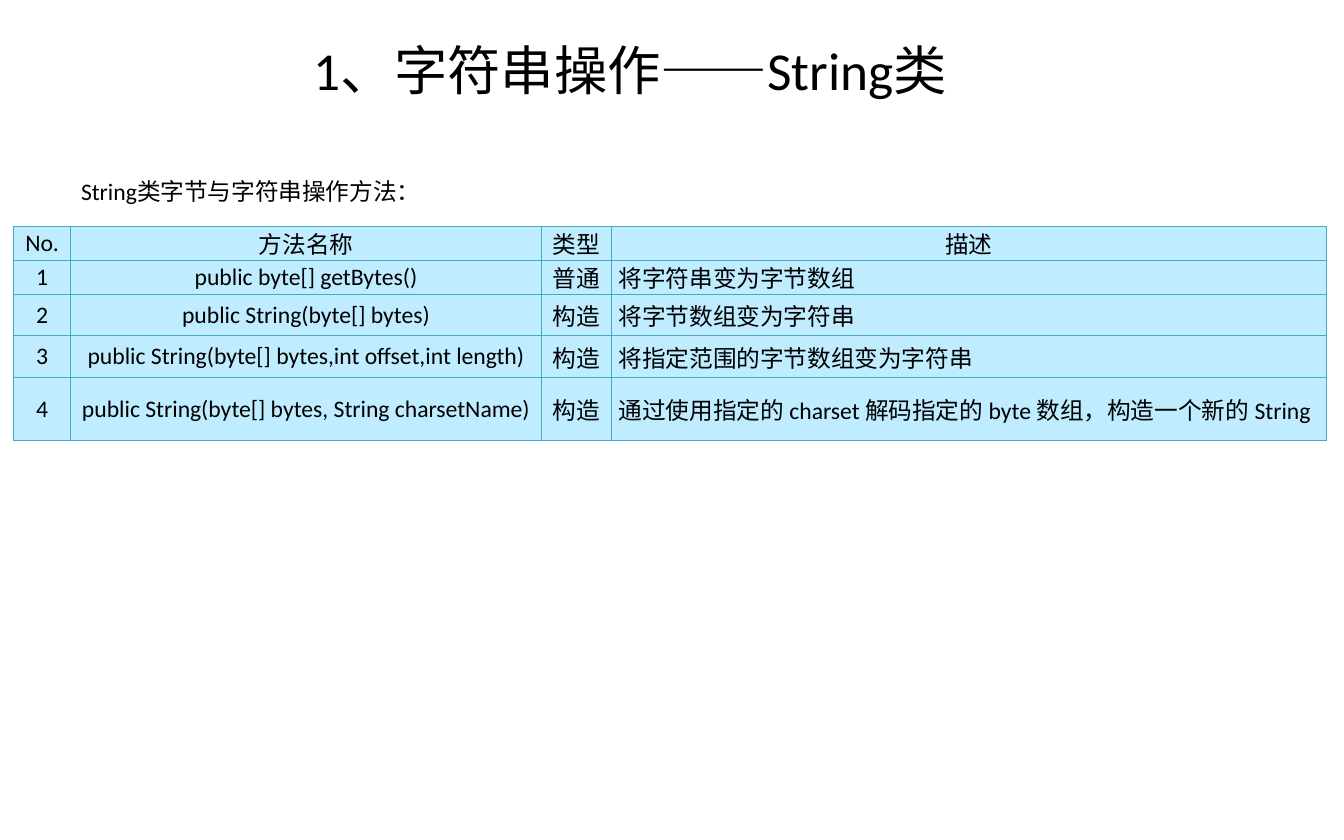
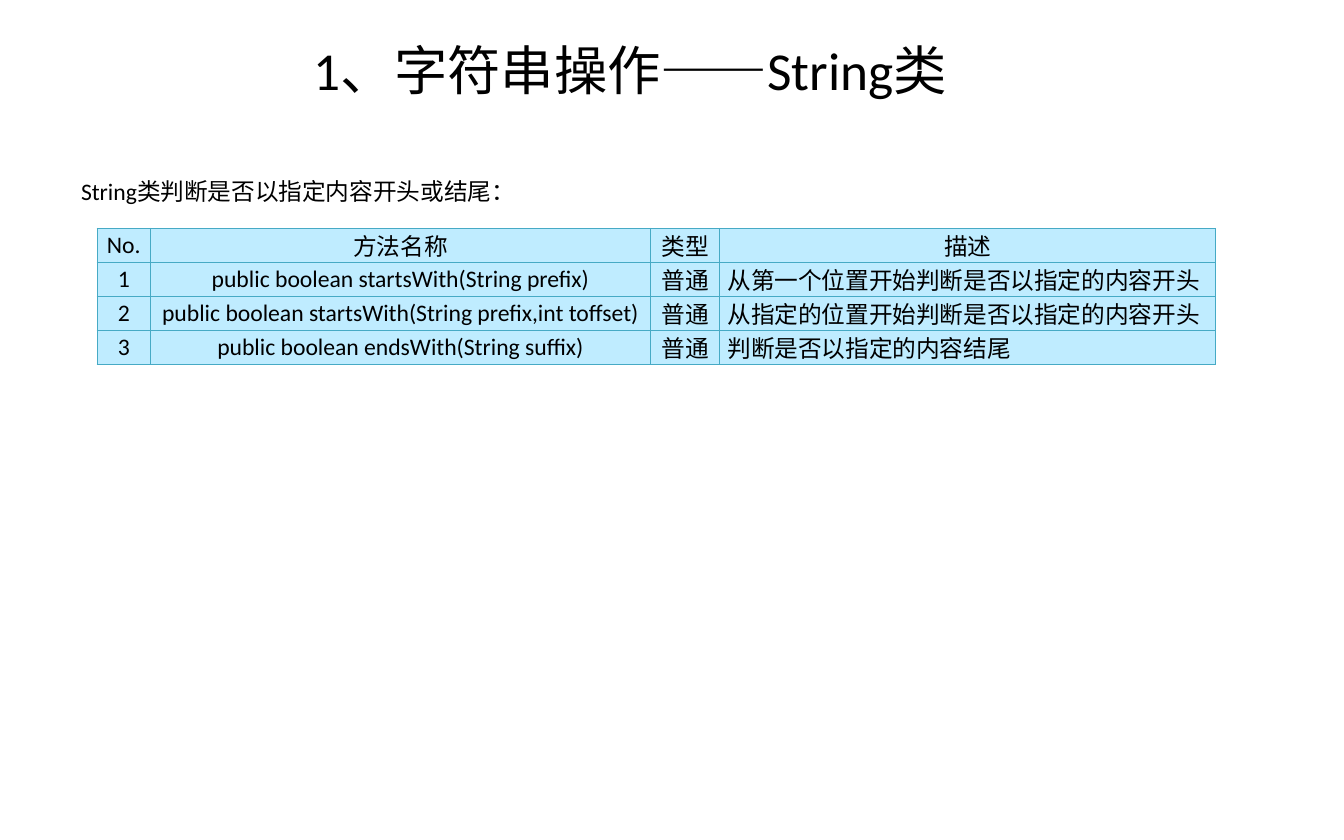
"""Build two slides that list methods of the String class."""
from dataclasses import dataclass

import pptx
import pptx.dml.color
import pptx.enum.text
import pptx.oxml
import pptx.oxml.ns
import pptx.util

Inches = pptx.util.Inches
ALIGN = pptx.enum.text.PP_ALIGN
ANCHOR = pptx.enum.text.MSO_ANCHOR


@dataclass(frozen=True)
class Theme:
    font: str = "Calibri"
    text: str = "000000"
    cell: str = "BFECFF"
    border: str = "46AAC5"
    border_width: float = 0.75
    title_size: int = 36
    text_size: int = 16


THEME = Theme()
TITLE = "1、字符串操作——String类"
HEADINGS = ("No.", "方法名称", "类型", "描述")

BYTE_METHODS = [
    ("public byte[] getBytes()", "普通", "将字符串变为字节数组"),
    ("public String(byte[] bytes)", "构造", "将字节数组变为字符串"),
    ("public String(byte[] bytes,int offset,int length)", "构造",
     "将指定范围的字节数组变为字符串"),
    ("public String(byte[] bytes, String charsetName)", "构造",
     "通过使用指定的 charset 解码指定的 byte 数组，构造一个新的 String"),
]
AFFIX_METHODS = [
    ("public boolean startsWith(String prefix)", "普通",
     "从第一个位置开始判断是否以指定的内容开头"),
    ("public boolean startsWith(String prefix,int toffset)", "普通",
     "从指定的位置开始判断是否以指定的内容开头"),
    ("public boolean endsWith(String suffix)", "普通",
     "判断是否以指定的内容结尾"),
]


def write(frame, text, size, align):
    """Put one formatted run in the first paragraph of a text frame."""
    paragraph = frame.paragraphs[0]
    paragraph.alignment = align
    run = paragraph.add_run()
    run.text = text
    run.font.name = THEME.font
    run.font.size = pptx.util.Pt(size)
    run.font.color.rgb = pptx.dml.color.RGBColor.from_string(THEME.text)


def set_margins(holder, side, end):
    """Set equal side margins and equal top and bottom margins."""
    holder.margin_left = holder.margin_right = Inches(side)
    holder.margin_top = holder.margin_bottom = Inches(end)


def add_titled_slide(deck, intro):
    """Add a slide with the shared title and an introductory line."""
    slide = deck.slides.add_slide(deck.slide_layouts[5])
    title = slide.shapes.title
    title.left, title.top = Inches(1.58), Inches(0.32)
    title.width, title.height = Inches(8.66), Inches(0.66)
    title.text_frame.vertical_anchor = ANCHOR.MIDDLE
    write(title.text_frame, TITLE, THEME.title_size, ALIGN.CENTER)

    lead = slide.shapes.add_textbox(
        Inches(0.63), Inches(1.59), Inches(11.34), Inches(5.31))
    write(lead.text_frame, intro, THEME.text_size, ALIGN.LEFT)

    for frame in (title.text_frame, lead.text_frame):
        frame.word_wrap = True
        set_margins(frame, 0.13, 0.07)
    return slide


def add_borders(cell):
    """Draw a thin line on all four sides of a cell."""
    properties = cell._tc.get_or_add_tcPr()
    width = pptx.util.Pt(THEME.border_width)
    for side in ("lnL", "lnR", "lnT", "lnB"):
        properties.append(pptx.oxml.parse_xml(
            f'<a:{side} {pptx.oxml.ns.nsdecls("a")} w="{width}"><a:solidFill>'
            f'<a:srgbClr val="{THEME.border}"/></a:solidFill></a:{side}>'))


def fill_cell(cell, text, align):
    """Write and style one table cell."""
    add_borders(cell)
    cell.fill.solid()
    cell.fill.fore_color.rgb = pptx.dml.color.RGBColor.from_string(THEME.cell)
    cell.vertical_anchor = ANCHOR.MIDDLE
    set_margins(cell, 0.07, 0)
    write(cell.text_frame, text, THEME.text_size, align)


def add_method_table(slide, left, top, widths, heights, methods):
    """Add a table of numbered methods under the shared headings."""
    rows = [HEADINGS] + [(str(number), *method)
                         for number, method in enumerate(methods, 1)]
    table = slide.shapes.add_table(
        len(rows), len(HEADINGS), Inches(left), Inches(top),
        Inches(sum(widths)), Inches(sum(heights))).table
    table.first_row = table.horz_banding = False
    for column, width in zip(table.columns, widths):
        column.width = Inches(width)
    for row, height in zip(table.rows, heights):
        row.height = Inches(height)
    for r, row in enumerate(rows):
        for c, text in enumerate(row):
            is_description = r > 0 and c == len(HEADINGS) - 1
            fill_cell(table.cell(r, c), text,
                      ALIGN.JUSTIFY if is_description else ALIGN.CENTER)


def main():
    """Build and save the deck."""
    deck = pptx.Presentation()
    deck.slide_width = Inches(12.6)
    deck.slide_height = deck.slide_width * 10 // 16

    byte_slide = add_titled_slide(deck, "String类字节与字符串操作方法：")
    add_method_table(byte_slide, 0.13, 2.12, (0.53, 4.42, 0.65, 6.71),
                     (0.32, 0.32, 0.39, 0.39, 0.59), BYTE_METHODS)

    affix_slide = add_titled_slide(deck, "String类判断是否以指定内容开头或结尾：")
    add_method_table(affix_slide, 0.91, 2.14, (0.5, 4.69, 0.65, 4.65),
                     (0.32,) * 4, AFFIX_METHODS)

    deck.save("out.pptx")


if __name__ == "__main__":
    main()
